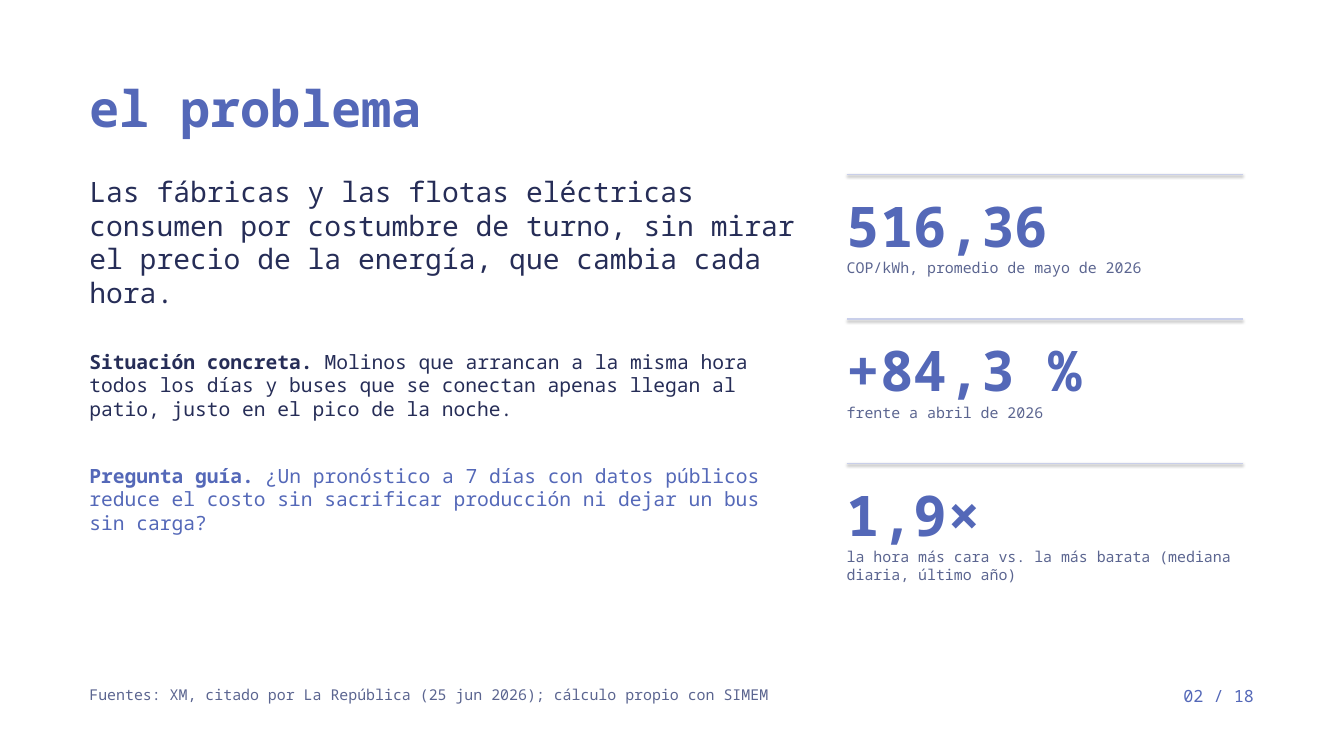
"""Builds the slide that states the problem, with three key figures."""
import pptx
import pptx.dml.color
import pptx.enum.shapes
import pptx.enum.text
import pptx.util

Inches = pptx.util.Inches
Align = pptx.enum.text.PP_ALIGN

FIGURES = [
    ("516,36", "COP/kWh, promedio de mayo de 2026"),
    ("+84,3 %", "frente a abril de 2026"),
    ("1,9×", "la hora más cara vs. la más barata (mediana diaria, último año)"),
]


def color(value):
    return pptx.dml.color.RGBColor.from_string(value)


def write(box, text, lead="", size=16, ink="5B6590", bold=False, align=Align.LEFT,
          font="Noto Sans Mono"):
    frame = box.text_frame
    frame.word_wrap = True
    frame.auto_size = pptx.enum.text.MSO_AUTO_SIZE.SHAPE_TO_FIT_TEXT
    frame.vertical_anchor = pptx.enum.text.MSO_ANCHOR.TOP
    frame.margin_left = frame.margin_top = frame.margin_right = frame.margin_bottom = 0
    para = frame.paragraphs[0]
    para.alignment = align
    para.space_after = pptx.util.Pt(size * 0.35)
    for words, heavy in ((lead, True), (text, bold)):
        if words:
            span = para.add_run()
            span.text = words
            span.font.name = font
            span.font.size = pptx.util.Pt(size)
            span.font.bold = heavy
            span.font.color.rgb = color(ink)


class Slide:
    """Holds the style and the current slide."""

    accent = "5468B8"
    dark = "262D57"
    rule_ink = "C9CFEA"

    def __init__(self, deck):
        self.page = deck.slides.add_slide(deck.slide_layouts[5])

    def title(self, text, left, top, width, height):
        box = self.page.shapes.title
        box.left, box.top = Inches(left), Inches(top)
        box.width, box.height = Inches(width), Inches(height)
        write(box, text, size=54, ink=self.accent, bold=True)

    def text(self, text, left, top, width, height, **style):
        box = self.page.shapes.add_textbox(
            Inches(left), Inches(top), Inches(width), Inches(height))
        write(box, text, **style)

    def rule(self, left, top, width):
        line = self.page.shapes.add_connector(
            pptx.enum.shapes.MSO_CONNECTOR.STRAIGHT,
            Inches(left), Inches(top), Inches(left + width), Inches(top))
        line.line.color.rgb = color(self.rule_ink)
        line.line.width = pptx.util.Pt(1.5)

    def figure(self, value, caption, left, top, width):
        self.rule(left, top, width)
        self.text(value, left, top + 0.25, width, 1, size=60, ink=self.accent, bold=True)
        self.text(caption, left, top + 1.25, width, 0.8)


def main():
    deck = pptx.Presentation()
    deck.slide_width, deck.slide_height = Inches(20), Inches(11.25)
    slide = Slide(deck)
    margin, column = 1.33, 10.6

    slide.title("el problema", margin, 1.15, 17.33, 1)
    slide.text("Fuentes: XM, citado por La República (25 jun 2026); cálculo propio con SIMEM",
               margin, 10.2, 14, 0.45)
    slide.text("02 / 18", 16.08, 10.2, 2.58, 0.45,
               size=18, ink=slide.accent, align=Align.RIGHT)

    slide.text("Las fábricas y las flotas eléctricas consumen por costumbre de turno, "
               "sin mirar el precio de la energía, que cambia cada hora.",
               margin, 2.6, column, 2.2, size=30, ink=slide.dark)
    slide.text("Molinos que arrancan a la misma hora todos los días y buses que se conectan "
               "apenas llegan al patio, justo en el pico de la noche.",
               margin, 5.2, column, 1.3, lead="Situación concreta. ", size=21, ink=slide.dark)
    slide.text("¿Un pronóstico a 7 días con datos públicos reduce el costo sin sacrificar "
               "producción ni dejar un bus sin carga?",
               margin, 6.9, column, 1.5, lead="Pregunta guía. ", size=21, ink=slide.accent)

    for index, (value, caption) in enumerate(FIGURES):
        slide.figure(value, caption, 12.6, 2.6 + 2.15 * index, 5.9)

    deck.save("out.pptx")


if __name__ == "__main__":
    main()
